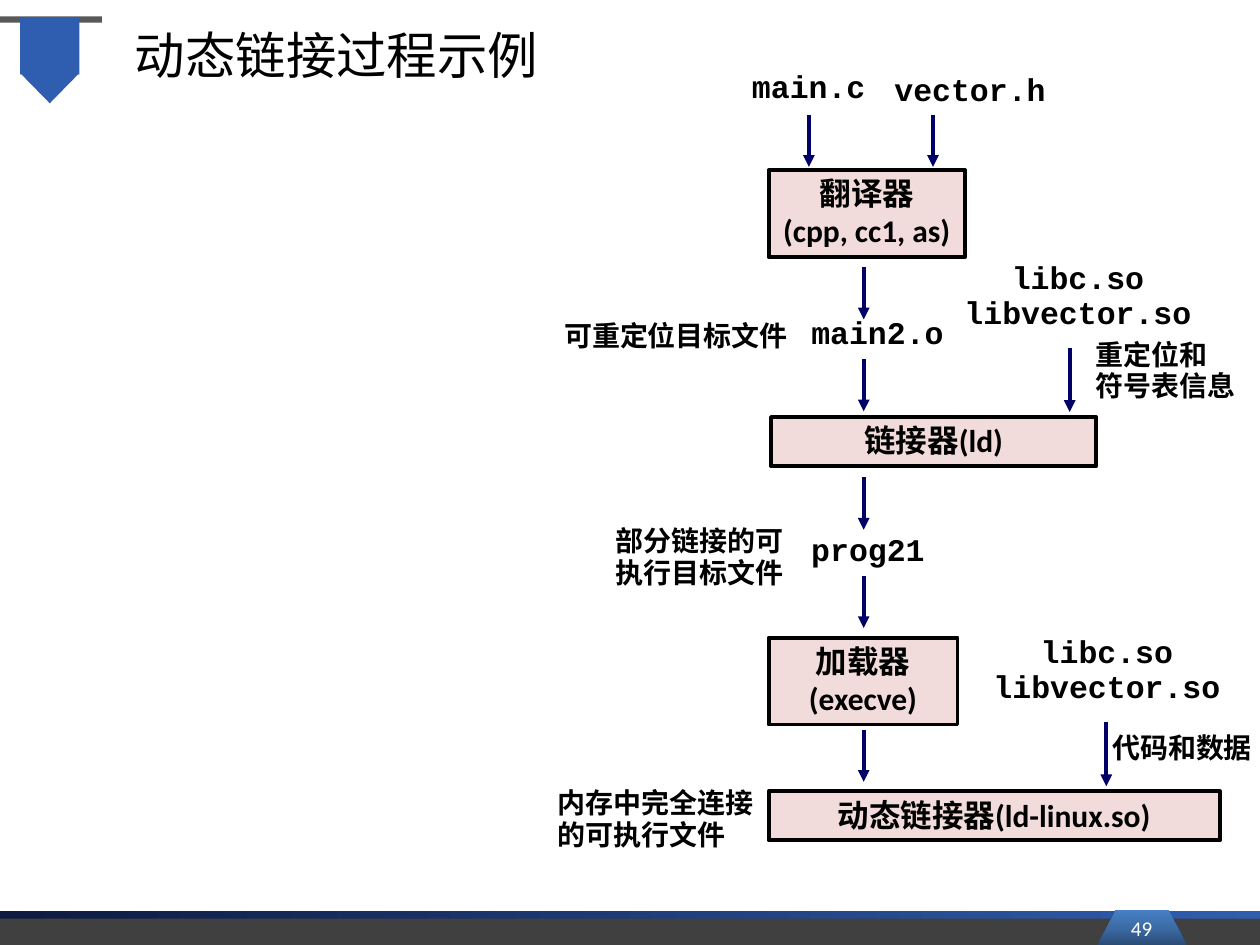
from copy import deepcopy
from dataclasses import dataclass

from lxml.etree import SubElement
from pptx import Presentation
from pptx.dml.color import RGBColor
from pptx.enum.shapes import MSO_CONNECTOR, MSO_SHAPE
from pptx.enum.text import MSO_ANCHOR, PP_ALIGN
from pptx.oxml.ns import qn
from pptx.util import Inches, Pt

WIDTH, HEIGHT = Inches(10), Inches(7.5)


@dataclass(frozen=True)
class Theme:
    ink: str = "000000"
    white: str = "FFFFFF"
    blue: str = "2F5EB0"
    gray: str = "595959"
    footer: str = "404040"
    stage: str = "F2DCDB"
    arrow: str = "000066"
    band: tuple = ("0E1A40", "2F5EB0")
    tab: tuple = ("2A4C75", "3C6CA6", "4780C5")
    cjk: str = "Noto Sans CJK SC"
    body: str = "Calibri"
    code: str = "Courier New"
    title_size: float = 28.8
    main_size: float = 18
    note_size: float = 16
    number_size: float = 12
    stroke: float = 2.25


THEME = Theme()


def rgb(color):
    return RGBColor.from_string(color)


def share(left, top, width, height):
    """Turn percentages of the slide's width and height into lengths."""
    return [int(part * side / 100)
            for part, side in zip((left, top, width, height), (WIDTH, HEIGHT) * 2)]


def write(frame, text, font, size, color=THEME.ink, bold=True,
          align=PP_ALIGN.LEFT, spacing=None):
    frame.text = text
    for paragraph in frame.paragraphs:
        paragraph.alignment = align
        if spacing:
            paragraph.line_spacing = spacing
        for run in paragraph.runs:
            run.font.name, run.font.size, run.font.bold = font, Pt(size), bold
            run.font.color.rgb = rgb(color)
            east_asian = SubElement(run.font._element, qn("a:ea"))
            east_asian.set("typeface", THEME.cjk)


def add_block(slide, kind, area, color=None):
    block = slide.shapes.add_shape(kind, *share(*area))
    block.shadow.inherit = False
    block.line.fill.background()
    if color:
        block.fill.solid()
        block.fill.fore_color.rgb = rgb(color)
    return block


def fill_gradient(block, colors, angle):
    block.fill.gradient()
    block.fill.gradient_angle = angle
    stop_list = block._element.spPr.find(".//" + qn("a:gsLst"))
    for _ in colors[2:]:
        stop_list.insert(1, deepcopy(stop_list[0]))
    for index, (stop, color) in enumerate(zip(block.fill.gradient_stops, colors)):
        stop.position = index / (len(colors) - 1)
        stop.color.rgb = rgb(color)


def add_stage(slide, text, area):
    """A bordered box for one tool of the tool chain."""
    stage = add_block(slide, MSO_SHAPE.RECTANGLE, area, THEME.stage)
    stage.line.color.rgb = rgb(THEME.ink)
    stage.line.width = Pt(THEME.stroke)
    stage.text_frame.vertical_anchor = MSO_ANCHOR.TOP
    write(stage.text_frame, text, THEME.body, THEME.main_size,
          align=PP_ALIGN.CENTER, spacing=0.98)


def add_label(slide, text, area, size, wrap, align=PP_ALIGN.LEFT):
    label = slide.shapes.add_textbox(*share(*area))
    label.text_frame.word_wrap = wrap
    write(label.text_frame, text, THEME.code, size, align=align, spacing=0.94)


def add_arrow(slide, column, top, length):
    x, start, _, drop = share(column, top, 0, length)
    arrow = slide.shapes.add_connector(MSO_CONNECTOR.STRAIGHT, x, start, x, start + drop)
    arrow.line.color.rgb = rgb(THEME.arrow)
    arrow.line.width = Pt(THEME.stroke)
    SubElement(arrow.line._get_or_add_ln(), qn("a:tailEnd")).set("type", "triangle")
    SubElement(arrow._element.spPr, qn("a:effectLst"))


def add_frame(slide):
    # Ribbon at the top left
    add_block(slide, MSO_SHAPE.RECTANGLE, (0, 1.73, 8.1, 0.67), THEME.gray)
    add_block(slide, MSO_SHAPE.RECTANGLE, (1.6, 1.87, 4.7, 6), THEME.blue)
    tip = add_block(slide, MSO_SHAPE.ISOSCELES_TRIANGLE, (1.6, 7.73, 4.7, 3.2), THEME.blue)
    tip.rotation = 180

    # Footer with the page number
    band = add_block(slide, MSO_SHAPE.RECTANGLE, (0, 96.4, 100, 3.6))
    fill_gradient(band, THEME.band, 0)
    add_block(slide, MSO_SHAPE.RECTANGLE, (0, 97.2, 100, 2.8), THEME.footer)
    tab = add_block(slide, MSO_SHAPE.TRAPEZOID, (87.1, 96.27, 7.1, 3.73))
    tab.adjustments[0] = 0.535
    fill_gradient(tab, THEME.tab, 90)
    number = slide.shapes.add_textbox(*share(86.2, 96.13, 8.8, 4.13)).text_frame
    number.word_wrap = True
    number.vertical_anchor = MSO_ANCHOR.MIDDLE
    write(number, "49", THEME.body, THEME.number_size, THEME.white, False, PP_ALIGN.CENTER)


def add_title(slide):
    title = slide.shapes.title
    title.left, title.top, title.width, title.height = share(9.7, 1.6, 85.2, 8.27)
    title.text_frame.vertical_anchor = MSO_ANCHOR.MIDDLE
    write(title.text_frame, "动态链接过程示例", THEME.cjk, THEME.title_size, bold=False)


def add_tool_chain(slide):
    one_line, two_lines = 5.2, 9.2
    for text, left, top, width, height in (
        ("翻译器\n(cpp, cc1, as)", 61, 18, 15.6, two_lines),
        ("链接器(ld)", 61.2, 44.13, 25.8, one_line),
        ("加载器\n(execve)", 61, 67.47, 15, two_lines),
        ("动态链接器(ld-linux.so)", 61, 83.73, 35.8, one_line),
    ):
        add_stage(slide, text, (left, top, width, height))

    # Files passed between the tools
    for text, left, top, width in (
        ("main.c", 58.7, 6.8, 11),
        ("vector.h", 70, 7.07, 14),
        ("main2.o", 63.4, 32.8, 12.5),
        ("prog21", 63.4, 55.73, 11),
    ):
        add_label(slide, text, (left, top, width, one_line), THEME.main_size, False)
    for left, top in ((75.5, 26.93), (77.8, 66.53)):
        add_label(slide, "libc.so\nlibvector.so", (left, top, 20.1, 9.07),
                  THEME.main_size, False, PP_ALIGN.CENTER)

    # Remarks beside the files
    for text, left, top, width, height in (
        ("可重定位目标文件", 43.8, 33.33, 20.4, 4.8),
        ("重定位和\n符号表信息", 86, 35.33, 13.4, 8.13),
        ("部分链接的可执行目标文件", 47.9, 55.07, 16.9, 8.13),
        ("代码和数据", 87.3, 76.93, 13.4, 4.8),
        ("内存中完全连接的可执行文件", 43.3, 82.8, 17.7, 8.13),
    ):
        add_label(slide, text, (left, top, width, height), THEME.note_size, True)

    # Arrows: sources, main flow, shared libraries
    for column in (64.2, 74.05):
        add_arrow(slide, column, 12.13, 5.53)
    for top in (28.27, 38, 50.53, 60.93, 77.2):
        add_arrow(slide, 68.55, top, 5.53)
    for column, top in ((84.9, 36.8), (87.8, 76.4)):
        add_arrow(slide, column, top, 6.8)


def main():
    deck = Presentation()
    deck.slide_width, deck.slide_height = WIDTH, HEIGHT
    slide = deck.slides.add_slide(deck.slide_layouts[5])
    add_frame(slide)
    add_title(slide)
    add_tool_chain(slide)
    deck.save("out.pptx")


if __name__ == "__main__":
    main()
